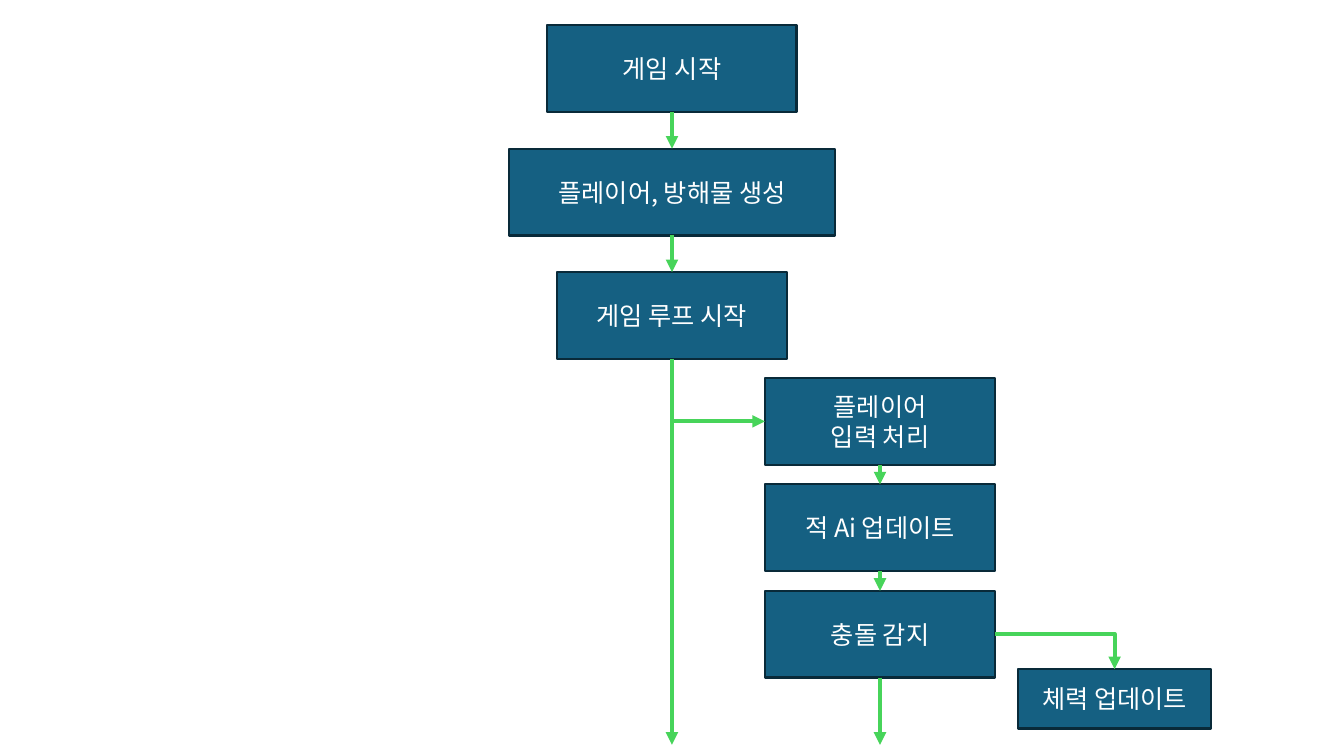
from dataclasses import dataclass
from typing import Optional

import lxml.etree
import pptx
import pptx.dml.color
import pptx.enum.shapes
import pptx.enum.text
import pptx.oxml.ns
import pptx.util

Pt = pptx.util.Pt
RGBColor = pptx.dml.color.RGBColor
CONNECTOR = pptx.enum.shapes.MSO_CONNECTOR
qn = pptx.oxml.ns.qn

BOX_FILL = RGBColor(0x15, 0x60, 0x82)
BOX_BORDER = RGBColor(0x09, 0x2A, 0x39)
BOX_TEXT = RGBColor(0xFF, 0xFF, 0xFF)
ARROW_COLOR = RGBColor(0x47, 0xD4, 0x5A)
FONT_NAME = "Noto Sans CJK KR"
FONT_FORMAT = {"size": Pt(18), "name": FONT_NAME}

MAIN_X, SIDE_X, HEALTH_X = 480, 628.6, 796.2
MAIN_TOP, MAIN_STEP = 18, 88.2
SIDE_TOP, SIDE_STEP = 270, 76
BOX_HEIGHT, LOOP_WIDTH = 62, 164.4
BOTTOM = 532
TOP_SIDE, LEFT_SIDE, BOTTOM_SIDE, RIGHT_SIDE = range(4)


@dataclass
class Step:
    text: str
    center: float
    top: float
    width: float = LOOP_WIDTH
    height: float = BOX_HEIGHT


@dataclass
class Arrow:
    start: Optional[str] = None
    start_side: int = BOTTOM_SIDE
    end: Optional[str] = None
    end_side: int = TOP_SIDE
    start_point: tuple[float, float] = (0, 0)
    end_point: tuple[float, float] = (0, 0)
    bent: bool = False


STEPS = {
    "start": Step("게임 시작", MAIN_X, MAIN_TOP, 178),
    "create": Step("플레이어, 방해물 생성", MAIN_X, MAIN_TOP + MAIN_STEP, 232.8),
    "loop": Step("게임 루프 시작", MAIN_X, MAIN_TOP + 2 * MAIN_STEP),
    "input": Step("플레이어\n입력 처리", SIDE_X, SIDE_TOP),
    "enemy": Step("적 Ai 업데이트", SIDE_X, SIDE_TOP + SIDE_STEP),
    "collision": Step("충돌 감지", SIDE_X, SIDE_TOP + 2 * SIDE_STEP),
    "health": Step("체력 업데이트", HEALTH_X, 478, 137.8, 42.4),
}

ARROWS = [
    Arrow("start", end="create"),
    Arrow("create", end="loop"),
    Arrow("loop", end_point=(MAIN_X, BOTTOM)),
    Arrow(start_point=(MAIN_X, SIDE_TOP + BOX_HEIGHT / 2), end="input", end_side=LEFT_SIDE),
    Arrow("input", end="enemy"),
    Arrow("enemy", end="collision"),
    Arrow("collision", RIGHT_SIDE, "health", bent=True),
    Arrow("collision", end_point=(SIDE_X, BOTTOM)),
]


def draw_step(page, step: Step):
    box = page.shapes.add_shape(
        pptx.enum.shapes.MSO_SHAPE.RECTANGLE,
        Pt(step.center - step.width / 2), Pt(step.top), Pt(step.width), Pt(step.height),
    )
    box.shadow.inherit = False
    box.fill.solid()
    box.fill.fore_color.rgb = BOX_FILL
    box.line.color.rgb = BOX_BORDER
    box.line.width = Pt(1.5)
    box.text_frame.word_wrap = True
    box.text_frame.vertical_anchor = pptx.enum.text.MSO_ANCHOR.MIDDLE
    para = box.text_frame.paragraphs[0]
    para.text = step.text
    para.alignment = pptx.enum.text.PP_ALIGN.CENTER
    for span in para.runs:
        for attribute, value in FONT_FORMAT.items():
            setattr(span.font, attribute, value)
        span.font.color.rgb = BOX_TEXT
        properties = span.font._element
        lxml.etree.SubElement(properties, qn("a:ea")).set("typeface", FONT_NAME)
    return box


def draw_arrow(page, arrow: Arrow, boxes: dict) -> None:
    kind = CONNECTOR.ELBOW if arrow.bent else CONNECTOR.STRAIGHT
    points = [Pt(value) for value in arrow.start_point + arrow.end_point]
    connector = page.shapes.add_connector(kind, *points)
    if arrow.start:
        connector.begin_connect(boxes[arrow.start], arrow.start_side)
    if arrow.end:
        connector.end_connect(boxes[arrow.end], arrow.end_side)
    connector.line.color.rgb = ARROW_COLOR
    connector.line.width = Pt(3)
    properties = connector.element.spPr
    if arrow.bent:
        properties.find(qn("a:prstGeom")).set("prst", "bentConnector2")
    lxml.etree.SubElement(properties.find(qn("a:ln")), qn("a:tailEnd")).set("type", "triangle")
    lxml.etree.SubElement(properties, qn("a:effectLst"))


def main() -> None:
    deck = pptx.Presentation()
    deck.slide_width, deck.slide_height = Pt(960), Pt(540)
    page = deck.slides.add_slide(deck.slide_layouts[6])
    boxes = {name: draw_step(page, step) for name, step in STEPS.items()}
    for arrow in ARROWS:
        draw_arrow(page, arrow, boxes)
    deck.save("out.pptx")


if __name__ == "__main__":
    main()
